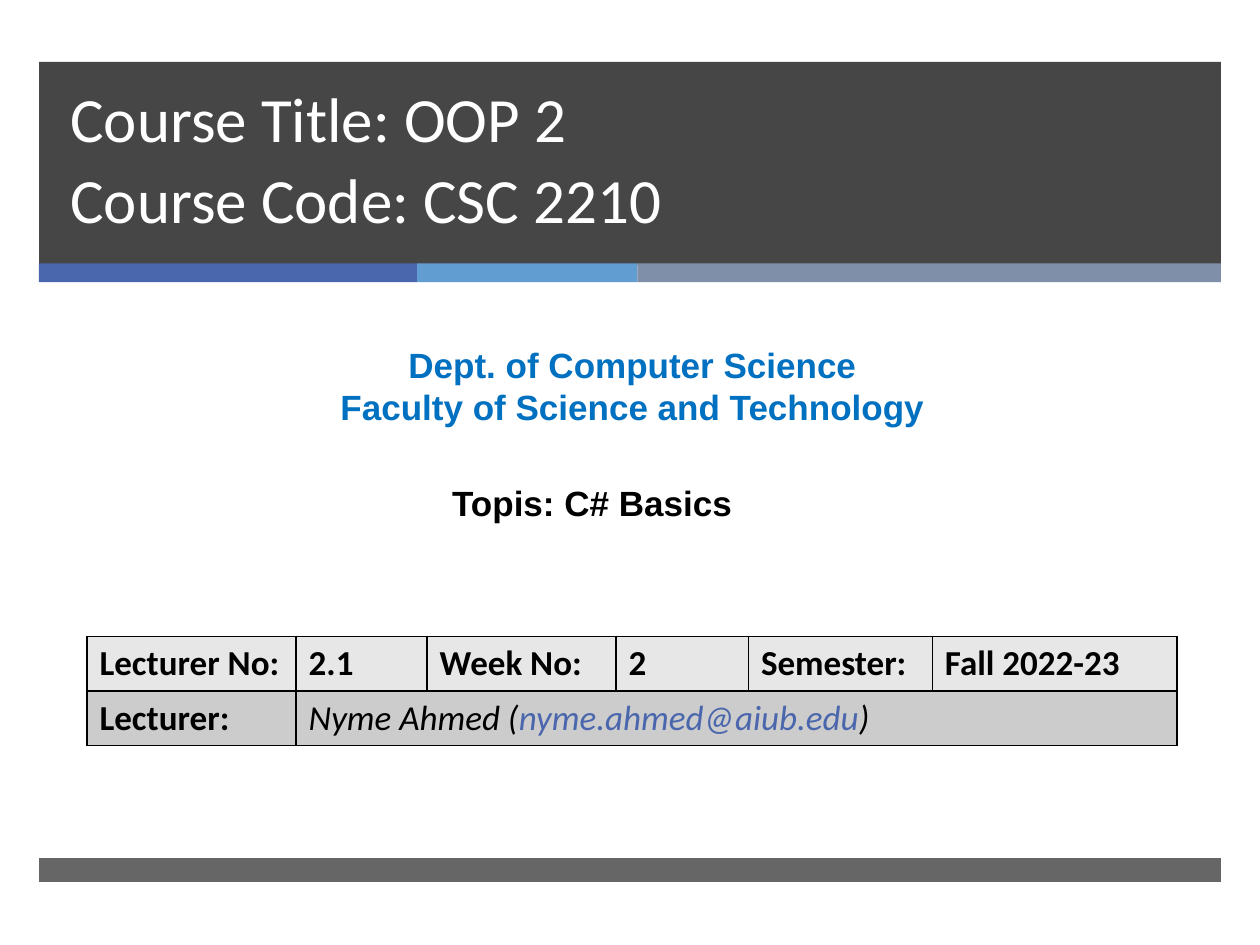
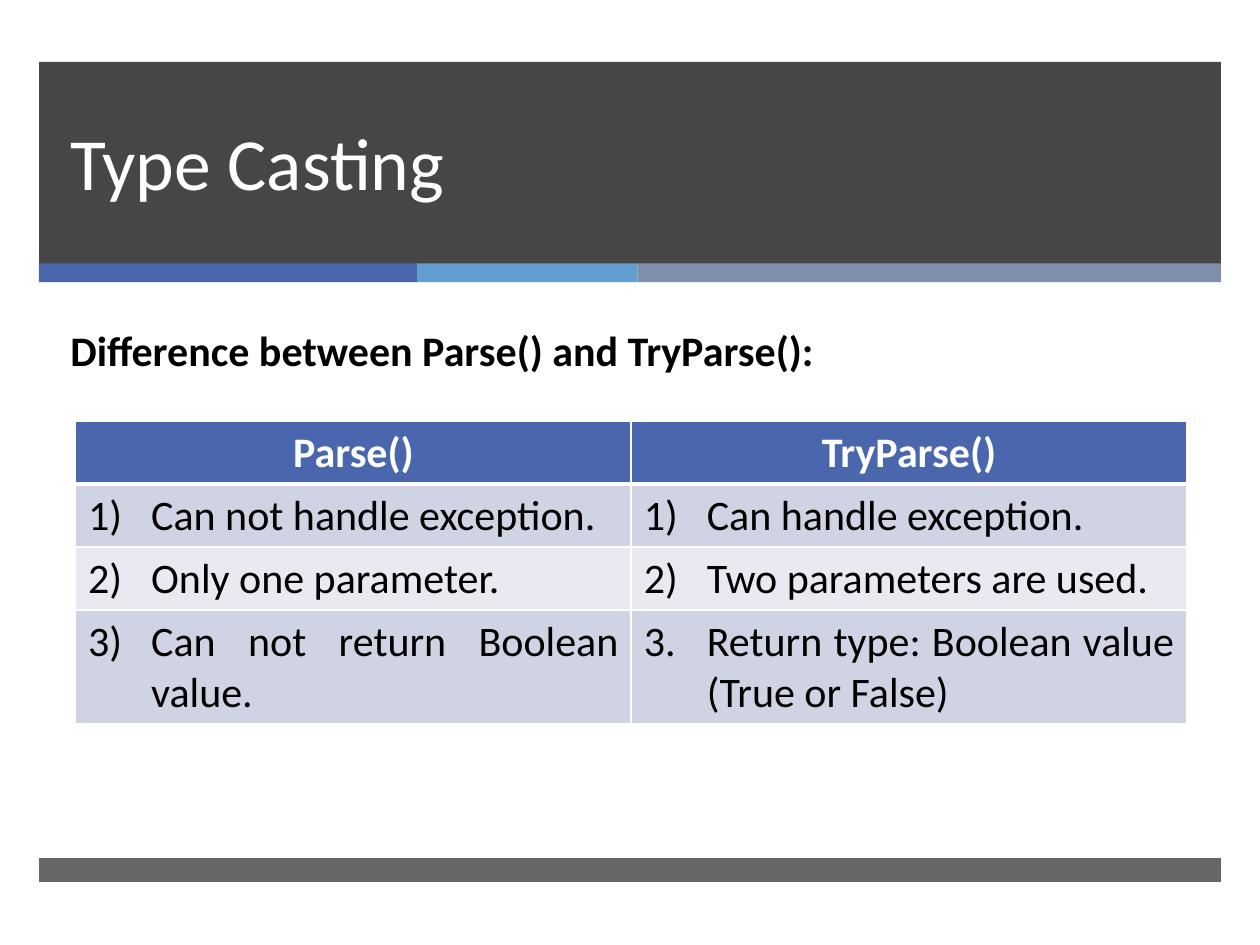
from dataclasses import dataclass

from lxml import etree
from pptx import Presentation
from pptx import util as u
from pptx.dml.color import RGBColor
from pptx.enum import shapes, text
from pptx.oxml.ns import qn

IN, PT = u.Inches, u.Pt
AL, ANC = text.PP_ALIGN, text.MSO_ANCHOR


@dataclass(frozen=True)
class Theme:
    dark: str = "262626"
    blue: str = "4A66AC"
    sky: str = "629DD1"
    slate: str = "7F8FA9"
    dept: str = "0070C0"
    white: str = "FFFFFF"
    black: str = "000000"
    gray: tuple = ("E7E7E7", "CCCCCC")
    band: tuple = ("D0D3E3", "E9EAF1")
    body: str = "Calibri"
    sans: str = "Arial"
    small: int = 20
    mid: int = 24
    cover: int = 36
    title: int = 42


T = Theme()


# Shared helpers
def put(obj, vals):
    for key, val in vals.items():
        setattr(obj, key, val)


def style(size, hue=T.black, **more):
    return {"size": PT(size), "name": T.body, "hue": hue, **more}


def write(para, words, look):
    for i, line in enumerate(words.split("\n")):
        if i:
            para.add_line_break()
        run = para.add_run()
        run.text = line
        put(run.font, {k: v for k, v in look.items() if k != "hue"})
        run.font.color.rgb = RGBColor.from_string(look["hue"])


def bar(slide, box, hue, alpha=None):
    rect = slide.shapes.add_shape(shapes.MSO_SHAPE.RECTANGLE, *map(IN, box))
    rect.shadow.inherit = False
    rect.fill.solid()
    rect.fill.fore_color.rgb = RGBColor.from_string(hue)
    rect.line.fill.background()
    if alpha:
        clr = rect.fill._xPr.find(".//" + qn("a:srgbClr"))
        etree.SubElement(clr, qn("a:alpha"), val=str(alpha * 1000))


def label(slide, box, lines, look, anchor=ANC.TOP, **form):
    frame = slide.shapes.add_textbox(*map(IN, box)).text_frame
    put(frame, {"word_wrap": True, "vertical_anchor": anchor})
    for i, line in enumerate(lines):
        para = frame.add_paragraph() if i else frame.paragraphs[0]
        put(para, form)
        write(para, line, look)


def edge(cell, hue, **widths):
    props = cell._tc.get_or_add_tcPr()
    for i, side in enumerate("LRTB"):
        wide = PT(widths.get(side, 1))
        line = etree.Element(qn("a:ln" + side), w=str(wide))
        fill = etree.SubElement(line, qn("a:solidFill"))
        etree.SubElement(fill, qn("a:srgbClr"), val=hue)
        props.insert(i, line)


def paint(cell, hue):
    cell.fill.solid()
    cell.fill.fore_color.rgb = RGBColor.from_string(hue)


def grid(slide, box, cols, rows):
    table = slide.shapes.add_table(len(rows), len(cols), *map(IN, box)).table
    put(table, {"first_row": False, "horz_banding": False})
    for col, wide in zip(table.columns, cols):
        col.width = IN(wide)
    for row, high in zip(table.rows, rows):
        row.height = IN(high)
    return table


def number(para, start, kind):
    props = para._p.get_or_add_pPr()
    put(para, {"alignment": AL.JUSTIFY})
    for key, val in (("marL", IN(0.5)), ("indent", -IN(0.5))):
        props.set(key, str(val))
    font = etree.SubElement(props, qn("a:buFont"))
    font.set("typeface", "+mj-lt")
    etree.SubElement(props, qn("a:buAutoNum"), type=kind, startAt=str(start))


# Header band, stripes, title and footer
def frame(slide, box, title, size, drop):
    left, top, wide, high = box
    bar(slide, (left, top, wide, 1.61), T.dark, 85)
    x = left
    for part, hue in ((3, T.blue), (1.75, T.sky), (4.63, T.slate)):
        bar(slide, (x, top + 1.6, part, 0.15), hue)
        x += part
    bar(slide, (left, top + high - 0.19, wide, 0.19), T.dark, 70)
    label(slide, (left + 0.15, top + drop, 8.54, 1.19), [title],
          style(size, T.white), ANC.BOTTOM, line_spacing=PT(46))


# Course facts on the cover
def facts(slide, box):
    table = grid(slide, box, (1.66, 1.04, 1.5, 1.05, 1.46, 1.94), (0.43, 0.43))
    for r, row in enumerate(table.rows):
        for cell in row.cells:
            paint(cell, T.gray[r])
            edge(cell, T.black)
    table.cell(1, 1).merge(table.cell(1, 5))
    bold = style(T.small, bold=True)
    heads = ("Lecturer No:", "2.1", "Week No:", "2", "Semester:", "Fall 2022-23")
    for c, words in enumerate(heads):
        write(table.cell(0, c).text_frame.paragraphs[0], words, bold)
    write(table.cell(1, 0).text_frame.paragraphs[0], "Lecturer:", bold)
    para = table.cell(1, 1).text_frame.paragraphs[0]
    for words, hue in (("Nyme Ahmed (", T.black),
                       ("nyme.ahmed@aiub.edu", T.blue), (")", T.black)):
        write(para, words, style(T.small, hue, italic=True))


# Two-column comparison
def versus(slide, box, heads, pairs):
    table = grid(slide, box, [box[2] / 2] * 2, (0.5, 0.5, 0.5, 0.9))
    for c, words in enumerate(heads):
        cell = table.cell(0, c)
        paint(cell, T.blue)
        edge(cell, T.white, B=3)
        para = cell.text_frame.paragraphs[0]
        para.alignment = AL.CENTER
        write(para, words, style(T.mid, T.white, bold=True))
    for r, pair in enumerate(pairs, 1):
        for c, words in enumerate(pair):
            cell = table.cell(r, c)
            paint(cell, T.band[(r - 1) % 2])
            edge(cell, T.white, T=3 if r == 1 else 1)
            para = cell.text_frame.paragraphs[0]
            last = (r, c) == (3, 1)
            number(para, r, "arabicPeriod" if last else "arabicParenR")
            write(para, words, style(T.mid, bold=False))


# Cover slide
def cover(slide, box):
    left, top = box[:2]
    frame(slide, box, "Course Title: OOP 2\nCourse Code: CSC 2210", T.cover, 0.24)
    look = style(T.small, T.dept, bold=True) | {"name": T.sans}
    label(slide, (left + 0.38, top + 2.19, 8.66, 1.11),
          ["Dept. of Computer Science", "Faculty of Science and Technology"],
          look, alignment=AL.CENTER)
    facts(slide, (left + 0.38, top + 4.56, 8.65, 0.86))
    label(slide, (left + 3.18, top + 3.28, 2.48, 0.44), ["Topis: C# Basics"],
          look | {"hue": T.black}, alignment=AL.JUSTIFY)


# Type casting slide
def casting(slide, box):
    left, top = box[:2]
    frame(slide, box, "Type Casting", T.title, 0)
    label(slide, (left + 0.15, top + 2.04, 9.1, 0.99),
          ["Difference between Parse() and TryParse():"],
          style(T.mid, bold=True), alignment=AL.JUSTIFY, space_after=PT(6))
    versus(slide, (left + 0.29, top + 2.85, 8.82, 2.4), ("Parse()", "TryParse()"), (
        ("Can not handle exception.", "Can handle exception."),
        ("Only one parameter.", "Two parameters are used."),
        ("Can not return Boolean value.",
         "Return type: Boolean value (True or False)"),
    ))


def main():
    deck = Presentation()
    put(deck, {"slide_width": IN(10), "slide_height": IN(7.5)})
    for build in (cover, casting):
        build(deck.slides.add_slide(deck.slide_layouts[6]),
              (0.31, 0.49, 9.38, 6.51))
    deck.save("out.pptx")


if __name__ == "__main__":
    main()
